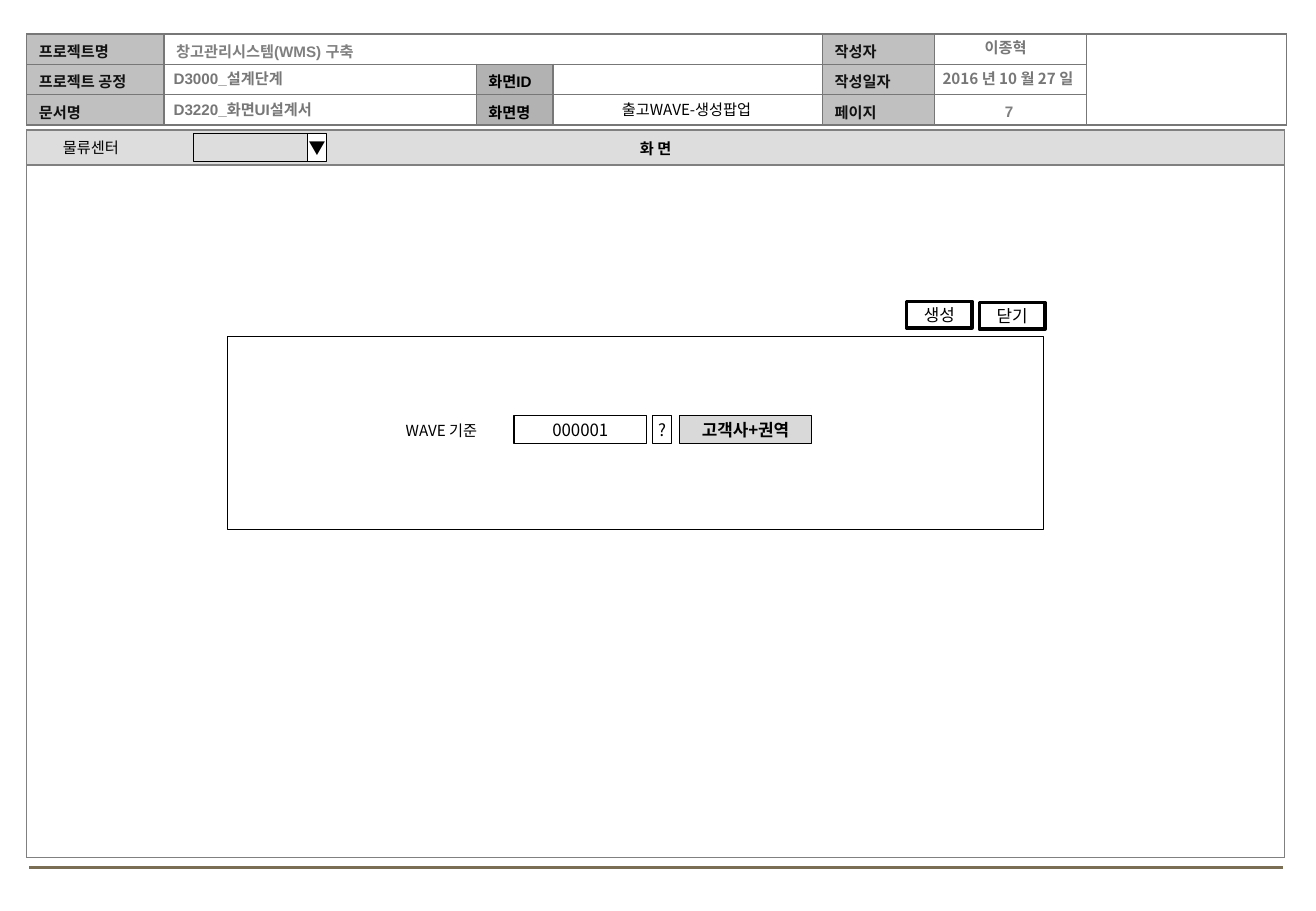
from lxml import etree
from pptx import Presentation
from pptx import util as u
from pptx.dml.color import RGBColor
from pptx.enum import shapes, text
from pptx.oxml.ns import qn

COLORS = {
    "black": "000000", "white": "FFFFFF", "label": "111111", "value": "777777",
    "border": "777777", "frame": "808080", "page": "7F7F7F", "rule": "7A6F54",
    "header": "C0C0C0", "screen": "B2B2B2", "title": "DDDDDD", "button": "D9D9D9",
}
KOREAN = "Noto Sans CJK KR"
LEFT, CENTER = text.PP_ALIGN.LEFT, text.PP_ALIGN.CENTER


def write(frame, words, size, color, font=KOREAN, bold=False, align=LEFT):
    frame.text = words
    paragraph = frame.paragraphs[0]
    paragraph.alignment = align
    for run in paragraph.runs:
        run.font.size = u.Pt(size)
        run.font.bold = bold
        run.font.name = font
        run.font.color.rgb = RGBColor.from_string(COLORS[color])
        etree.SubElement(run.font._element, qn("a:ea"), typeface=KOREAN)


def make_table(left, top, widths, heights, border):
    frame = slide.shapes.add_table(
        len(heights), len(widths), u.Inches(left), u.Inches(top),
        u.Inches(sum(widths)), u.Inches(sum(heights)))
    table = frame.table
    table.first_row = table.horz_banding = False
    for column, width in zip(table.columns, widths):
        column.width = u.Inches(width)
    for row, height in zip(table.rows, heights):
        row.height = u.Inches(height)
    for cell in table.iter_cells():
        cell.margin_top, cell.margin_bottom = u.Inches(0.03), 0
        cell.vertical_anchor = text.MSO_ANCHOR.MIDDLE
        etree.SubElement(cell.text_frame.paragraphs[0]._p, qn("a:endParaRPr"), sz="900")
        properties = cell._tc.get_or_add_tcPr()
        for side in ("lnL", "lnR", "lnT", "lnB"):
            line = etree.SubElement(properties, qn("a:" + side), w="12700")
            fill = etree.SubElement(line, qn("a:solidFill"))
            etree.SubElement(fill, qn("a:srgbClr"), val=COLORS[border])
        cell.fill.background()
    return table


presentation = Presentation()
presentation.slide_width = u.Inches(10.83)
presentation.slide_height = u.Inches(7.5)
slide = presentation.slides.add_slide(presentation.slide_layouts[6])

rule = slide.shapes.add_connector(
    shapes.MSO_CONNECTOR.STRAIGHT,
    u.Inches(0.24), u.Inches(7.14), u.Inches(10.56), u.Inches(7.14))
rule.line.color.rgb = RGBColor.from_string(COLORS["rule"])
rule.line.width = u.Pt(1.75)
etree.SubElement(rule._element.spPr, qn("a:effectLst"))

document = make_table(0.22, 0.28, [1.13, 2.57, 0.63, 2.22, 0.92, 1.25, 1.65], [0.25] * 3, "border")
document.cell(0, 1).merge(document.cell(0, 3))
document.cell(0, 6).merge(document.cell(2, 6))
labels = [
    (0, 0, "프로젝트명", "label", "header"),
    (0, 1, "창고관리시스템(WMS) 구축", "frame", None),
    (0, 4, "작성자", "label", "header"),
    (1, 0, "프로젝트 공정", "label", "header"),
    (1, 2, "화면ID", "black", "screen"),
    (1, 4, "작성일자", "label", "header"),
    (2, 0, "문서명", "label", "header"),
    (2, 2, "화면명", "black", "screen"),
    (2, 4, "페이지", "label", "header"),
]
for row, column, words, color, fill in labels:
    cell = document.cell(row, column)
    write(cell.text_frame, words, 9, color, "Arial", True)
    if fill:
        cell.fill.solid()
        cell.fill.fore_color.rgb = RGBColor.from_string(COLORS[fill])

screen = make_table(0.22, 1.07, [10.35], [0.29, 5.7], "frame")
title = screen.cell(0, 0)
title.margin_top = 0
title.fill.solid()
title.fill.fore_color.rgb = RGBColor.from_string(COLORS["title"])
write(title.text_frame, "화 면", 9, "black", "Arial", True, CENTER)

captions = [
    (1.33, 0.52, 5.42, "D3000_설계단계", "value", "Arial", True, LEFT),
    (1.33, 0.78, 5.42, "D3220_화면UI설계서", "value", "Arial", True, LEFT),
    (7.68, 0.79, 1.25, "7", "page", "Arial", True, CENTER),
    (4.56, 0.78, 2.18, "출고WAVE-생성팝업", "black", KOREAN, False, CENTER),
    (7.51, 0.52, 1.57, "2016 년 10 월 27 일", "value", KOREAN, True, CENTER),
    (7.49, 0.27, 1.57, "이종혁", "value", KOREAN, True, CENTER),
    (0.42, 1.09, 1.17, "물류센터", "black", KOREAN, False, LEFT),
    (3.24, 3.42, 0.95, "WAVE 기준", "black", KOREAN, False, LEFT),
]
for left, top, width, words, color, font, bold, align in captions:
    caption = slide.shapes.add_textbox(u.Inches(left), u.Inches(top), u.Inches(width), u.Inches(0.25))
    caption.text_frame.word_wrap = True
    write(caption.text_frame, words, 9, color, font, bold, align)

controls = [
    (1.87, 2.77, 6.72, 1.59, "", None, 0.75, False),
    (7.46, 2.48, 0.54, 0.22, "생성", "white", 2, False),
    (8.06, 2.49, 0.54, 0.22, "닫기", "white", 2, False),
    (1.59, 1.1, 1.09, 0.23, "", None, 0.75, False),
    (2.53, 1.1, 0.16, 0.23, "▼", "white", 0.75, False),
    (4.23, 3.42, 1.09, 0.23, "000001", "white", 0.75, False),
    (5.37, 3.42, 0.16, 0.23, "?", "white", 0.75, False),
    (5.59, 3.42, 1.09, 0.23, "고객사+권역", "button", 0.75, True),
]
for left, top, width, height, words, fill, weight, bold in controls:
    control = slide.shapes.add_shape(
        shapes.MSO_SHAPE.RECTANGLE,
        u.Inches(left), u.Inches(top), u.Inches(width), u.Inches(height))
    control.shadow.inherit = False
    control.line.color.rgb = RGBColor.from_string(COLORS["black"])
    control.line.width = u.Pt(weight)
    if fill:
        control.fill.solid()
        control.fill.fore_color.rgb = RGBColor.from_string(COLORS[fill])
    else:
        control.fill.background()
    if words:
        frame = control.text_frame
        frame.margin_left = frame.margin_right = u.Inches(0.02)
        frame.margin_top = frame.margin_bottom = u.Inches(0.04)
        frame.word_wrap = False
        frame.vertical_anchor = text.MSO_ANCHOR.MIDDLE
        write(frame, words, 10, "black", bold=bold, align=CENTER)

presentation.save("out.pptx")
